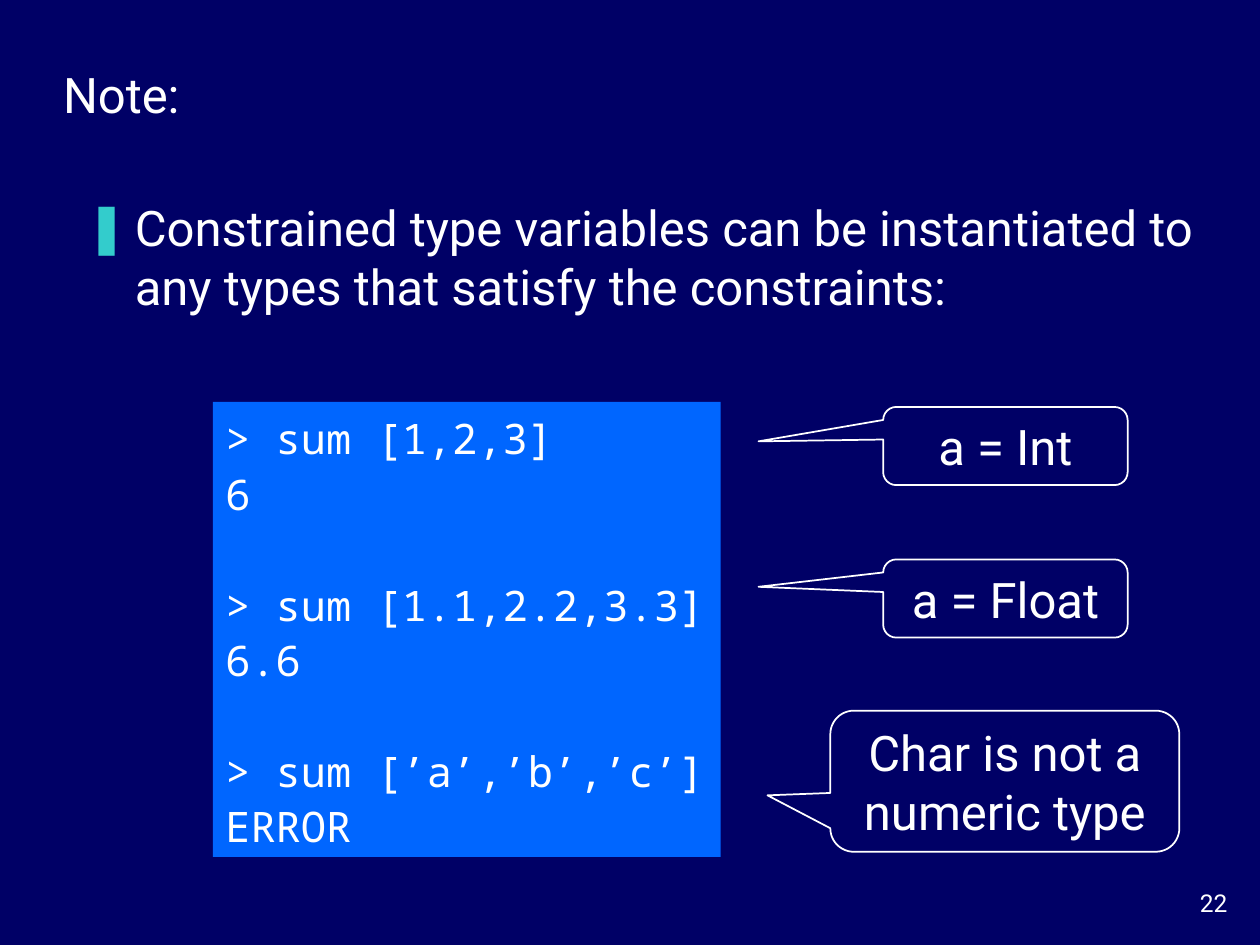
from lxml import etree
from pptx import Presentation
from pptx.dml.color import RGBColor
from pptx.enum.shapes import MSO_SHAPE
from pptx.enum.text import MSO_ANCHOR, MSO_AUTO_SIZE, PP_ALIGN
from pptx.oxml.ns import qn
from pptx.util import Inches, Pt

RECT, CALL = MSO_SHAPE.RECTANGLE, MSO_SHAPE.ROUNDED_RECTANGULAR_CALLOUT
TOP, MID = MSO_ANCHOR.TOP, MSO_ANCHOR.MIDDLE
LEFT, MIDDLE, RIGHT = PP_ALIGN.LEFT, PP_ALIGN.CENTER, PP_ALIGN.RIGHT
FIXED = MSO_AUTO_SIZE.NONE
NAVY, BLUE, TEAL, WHITE = "000066", "0066FF", "33CCCC", "FFFFFF"
SANS, MONO = "Roboto", "Noto Sans Mono"


def paint(color, code):
    color.rgb = RGBColor.from_string(code)


def write(shape, text, size=28, face=SANS, align=LEFT, anchor=MID, wrap=True):
    frame = shape.text_frame
    frame.text = text
    form = {"word_wrap": wrap, "vertical_anchor": anchor, "auto_size": FIXED}
    for name, value in form.items():
        setattr(frame, name, value)
    for par in frame.paragraphs:
        par.alignment = align
        for run in par.runs:
            run.font.size, run.font.name = Pt(size), face
            paint(run.font.color, WHITE)
    return frame


deck = Presentation()
deck.slide_width, deck.slide_height = Inches(10), Inches(7.5)
unit = deck.slide_width / 100  # grid of 100 columns by 75 rows
slide = deck.slides.add_slide(deck.slide_layouts[1])
slide.background.fill.solid()
paint(slide.background.fill.fore_color, NAVY)
title, body = slide.placeholders

# Title and bullet
spots = [(title, (4, 4.6, 11.5, 5.7)), (body, (5.9, 15.2, 90.1, 11.8))]
for holder, spot in spots:
    for name, value in zip(("left", "top", "width", "height"), spot):
        setattr(holder, name, int(value * unit))
write(title, "Note:", wrap=False)
frame = write(body, "Constrained type variables can be instantiated to "
              "any types that satisfy the constraints:", anchor=TOP)
props = frame.paragraphs[0]._p.get_or_add_pPr()
props.set("marL", str(Inches(0.38)))
props.set("indent", str(-Inches(0.38)))
tint = etree.SubElement(props, qn("a:buClr"))
etree.SubElement(tint, qn("a:srgbClr"), val=TEAL)
etree.SubElement(props, qn("a:buChar"), char="❚")

# Code panel: each prompt after the first opens a new group
code = ["> sum [1,2,3]", "6", "> sum [1.1,2.2,3.3]", "6.6",
        "> sum [’a’,’b’,’c’]", "ERROR"]
spot = [int(v * unit) for v in (16.9, 31.9, 40.3, 36.1)]
panel = slide.shapes.add_shape(RECT, *spot)
panel.shadow.inherit = False
panel.fill.solid()
paint(panel.fill.fore_color, BLUE)
panel.line.fill.background()
frame = write(panel, "\n".join(code), 24, MONO, wrap=False)
for row, par in enumerate(frame.paragraphs):
    par.line_spacing = 1.1
    if row and row % 2 == 0:
        par.space_before = Pt(31.7)

# Callouts: text, place, tip of the wedge
notes = [
    ("Char is not a numeric type", (65.9, 56.4, 27.7, 11.2), (-0.68, 0.1)),
    ("a = Int", (70.1, 32.3, 19.4, 6.2), (-1.01, -0.06)),
    ("a = Float", (70.1, 44.4, 19.4, 6.2), (-1.01, -0.15)),
]
for text, spot, tip in notes:
    note = slide.shapes.add_shape(CALL, *[int(v * unit) for v in spot])
    note.shadow.inherit = False
    note.adjustments[0], note.adjustments[1] = tip
    note.fill.background()
    paint(note.line.color, WHITE)
    note.line.width = Pt(1)
    write(note, text, align=MIDDLE)

# Page number
spot = [int(v * unit) for v in (91.7, 70, 6.7, 3.3)]
page = slide.shapes.add_textbox(*spot)
write(page, "22", 14, align=RIGHT, anchor=TOP)

deck.save("out.pptx")
